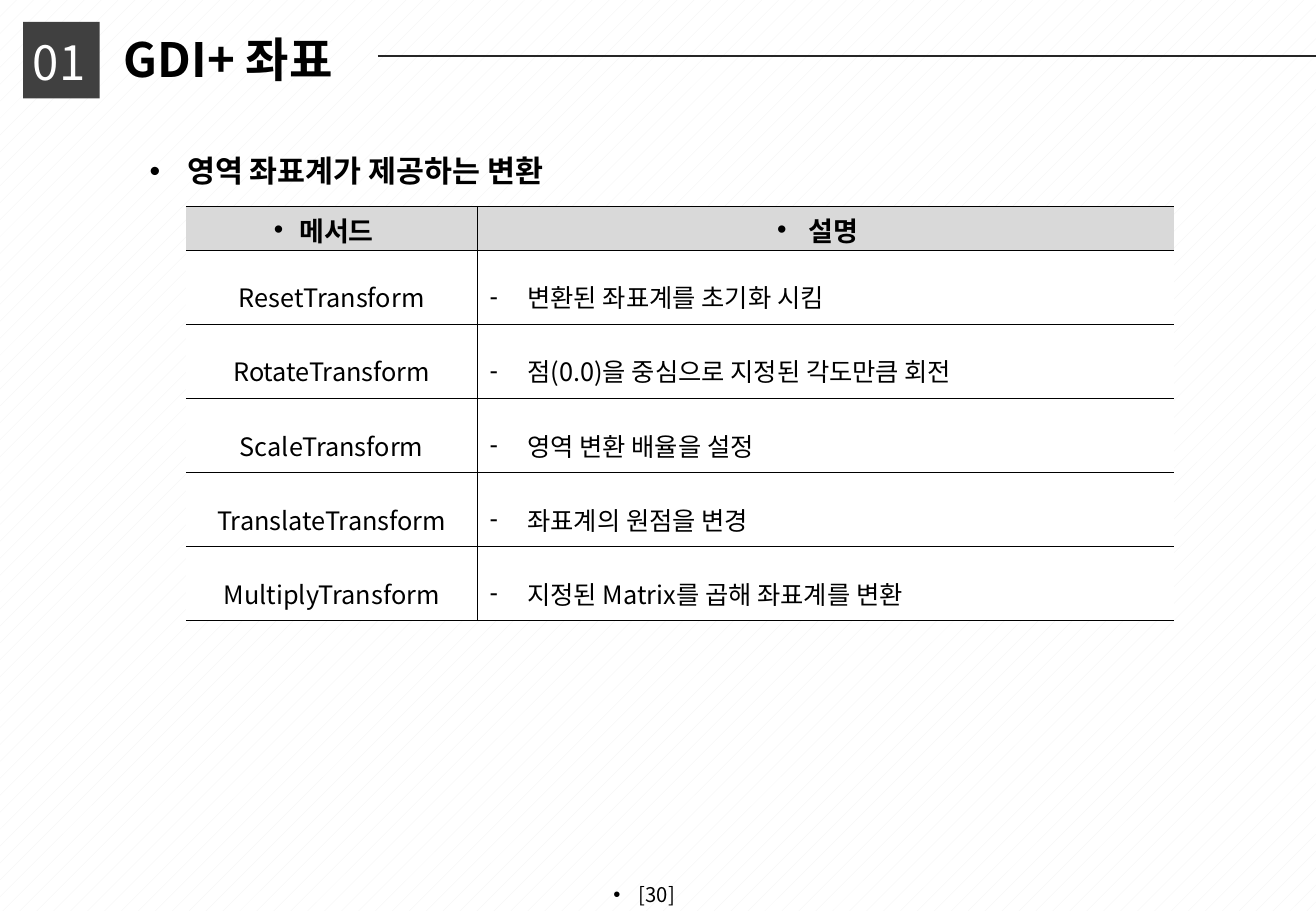
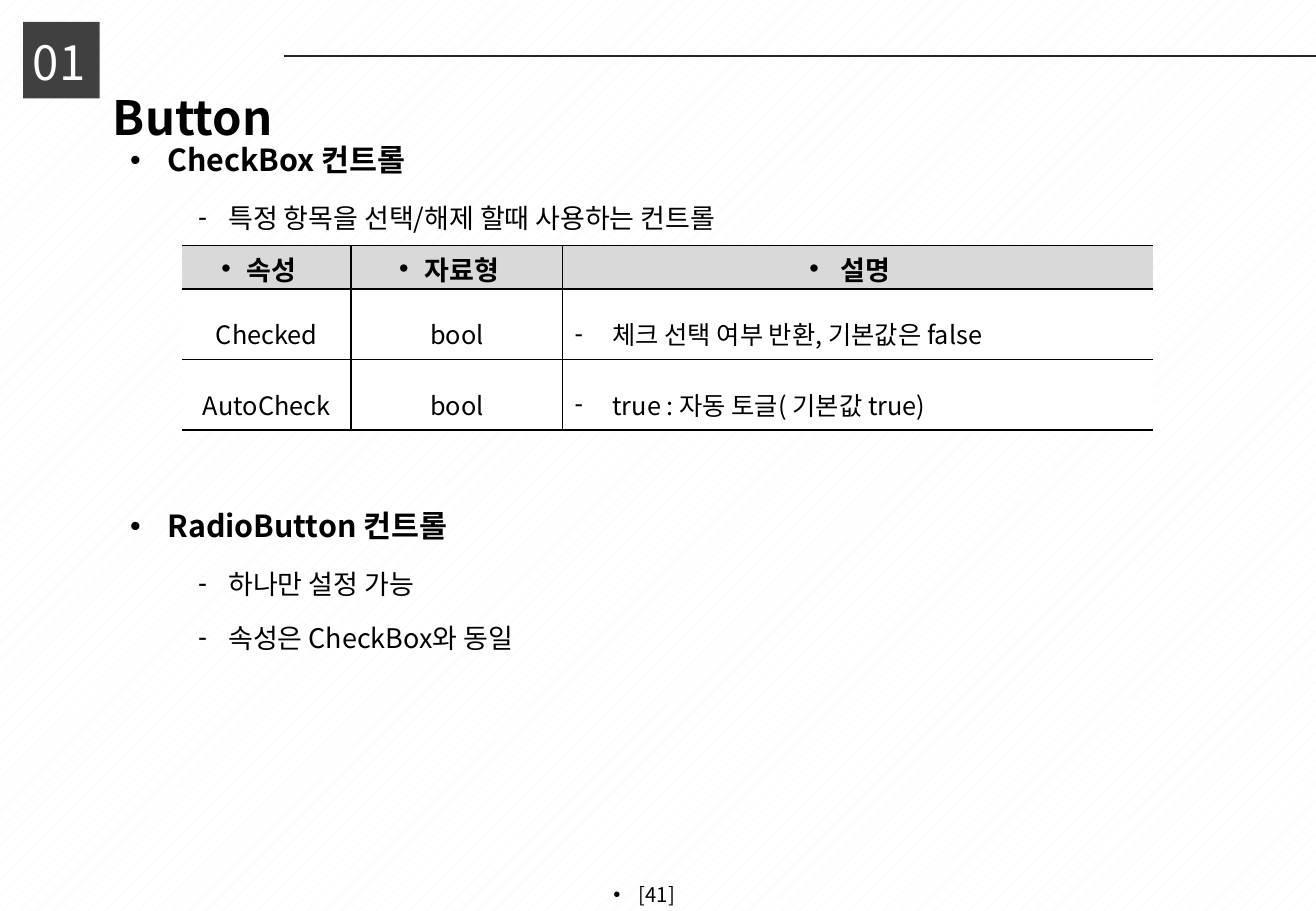
import pptx
import pptx.util
import pptx.dml.color
import pptx.enum.dml
import pptx.enum.shapes
import pptx.enum.text
import pptx.oxml.ns
import lxml.etree

Inches, Pt = pptx.util.Inches, pptx.util.Pt
ALIGN = pptx.enum.text.PP_ALIGN
ANCHOR = pptx.enum.text.MSO_ANCHOR
qn = pptx.oxml.ns.qn


class Theme:
    font = "Noto Sans CJK KR"
    ink, paper = "000000", "FFFFFF"
    dots, head, block, rule = "F2F2F2", "D9D9D9", "404040", "262626"
    # Text styles: size, weight, colour, exact line height
    title = dict(size=28, bold=True, color=ink, line=34)
    number = dict(size=28, bold=False, color=paper, line=34)
    topic = dict(size=18, bold=True, color=ink, line=24)
    point = dict(size=16, bold=False, color=ink, line=32)
    label = dict(size=16, bold=True, color=ink, line=18)
    entry = dict(size=15, bold=False, color=ink, line=26.5)
    foot = dict(size=12, bold=False, color=ink, line=17)


# Bullets: character, left margin, hanging indent, right margin
TOPIC = ("•", 0.75, 0.31, 0)
POINT = ("-", 1.25, 0.25, 0)
ENTRY = ("-", 0.31, 0.31, 0)
MIDDLE = ("•", 0.21, 0.21, 0.13)


def rgb(code):
    return pptx.dml.color.RGBColor.from_string(code)


def put(item, **values):
    for name, value in values.items():
        setattr(item, name, value)


def sub(parent, tag, **values):
    return lxml.etree.SubElement(parent, qn(tag), **values)


def paint(item, code):
    item.fill.solid()
    item.fill.fore_color.rgb = rgb(code)


def write(para, text, style, align=ALIGN.LEFT, bullet=None, before=0, after=0):
    put(para, alignment=align, line_spacing=Pt(style["line"]),
        space_before=Pt(before), space_after=Pt(after))
    props = para._p.get_or_add_pPr()
    char, left, hang, right = bullet or ("", 0, 0, 0)
    for name, value in dict(marL=left, indent=-hang, marR=right).items():
        props.set(name, str(int(Inches(value))))
    if char:
        sub(props, "a:buFont", typeface="Arial")
        sub(props, "a:buChar", char=char)
    else:
        sub(props, "a:buNone")
    run = para.add_run()
    run.text = text
    put(run.font, size=Pt(style["size"]), bold=style["bold"], name=Theme.font)
    run.font.color.rgb = rgb(style["color"])
    sub(run._r.get_or_add_rPr(), "a:ea", typeface=Theme.font)


def place(shape, left, top, width, height):
    put(shape, left=Inches(left), top=Inches(top),
        width=Inches(width), height=Inches(height))
    put(shape.text_frame, word_wrap=True, vertical_anchor=ANCHOR.TOP,
        auto_size=pptx.enum.text.MSO_AUTO_SIZE.NONE,
        margin_left=Inches(0.1), margin_right=Inches(0.1),
        margin_top=Inches(0.05), margin_bottom=Inches(0.05))
    return shape.text_frame


def label(slide, box, text, style, **form):
    frame = place(slide.shapes.add_textbox(0, 0, 0, 0), *box)
    frame.margin_left = 0
    write(frame.paragraphs[0], text, style, **form)


def header(slide, title, box, start, page):
    # Number block
    square = slide.shapes.add_shape(
        pptx.enum.shapes.MSO_SHAPE.RECTANGLE,
        Inches(0.19), Inches(0.18), Inches(0.63), Inches(0.63))
    square.shadow.inherit = False
    paint(square, Theme.block)
    square.line.fill.background()
    label(slide, (0.15, 0.22, 0.65, 0.57), "01", Theme.number,
          align=ALIGN.RIGHT)
    # Title and rule
    frame = place(slide.shapes.title, *box)
    write(frame.paragraphs[0], title, Theme.title)
    line = slide.shapes.add_connector(
        pptx.enum.shapes.MSO_CONNECTOR.STRAIGHT,
        Inches(start), Inches(0.46), Inches(10.83), Inches(0.46))
    line.line.color.rgb = rgb(Theme.rule)
    line.line.width = Pt(1.5)
    sub(line._element.spPr, "a:effectLst")
    # Page number
    label(slide, (4.15, 7.18, 2.53, 0.32), f"[{page}]", Theme.foot,
          align=ALIGN.CENTER, bullet=MIDDLE)


def outline(slide, left, top, groups):
    frame = place(slide.placeholders[1], left, top, 9.61, 5.79)
    para = frame.paragraphs[0]
    for gap, topic, points in groups:
        if gap:
            para = frame.add_paragraph()
        para.level = 1
        write(para, topic, Theme.topic, bullet=TOPIC, before=gap, after=1)
        for text in points:
            para = frame.add_paragraph()
            para.level = 2
            write(para, text, Theme.point, bullet=POINT)


def border(cell, first, last):
    props = cell._tc.get_or_add_tcPr()
    sides = dict(lnL=not first, lnR=not last, lnT=True, lnB=True)
    for spot, (side, drawn) in enumerate(sides.items()):
        edge = lxml.etree.Element(qn("a:" + side), w=str(int(Pt(1))))
        if drawn:
            sub(sub(edge, "a:solidFill"), "a:srgbClr", val=Theme.ink)
        else:
            sub(edge, "a:noFill")
        props.insert(spot, edge)


def grid(slide, left, top, widths, step, rows):
    heights = [0.36] + [step] * (len(rows) - 1)
    table = slide.shapes.add_table(
        len(rows), len(widths), Inches(left), Inches(top),
        Inches(sum(widths)), Inches(sum(heights))).table
    put(table, first_row=False, horz_banding=False)
    for col, width in zip(table.columns, widths):
        col.width = Inches(width)
    end = len(widths) - 1
    for r, (texts, height) in enumerate(zip(rows, heights)):
        table.rows[r].height = Inches(height)
        for c, text in enumerate(texts):
            cell = table.cell(r, c)
            put(cell, vertical_anchor=ANCHOR.MIDDLE,
                margin_left=Inches(0.1), margin_right=Inches(0.1),
                margin_top=Inches(0.1), margin_bottom=Inches(0.01))
            paint(cell, Theme.paper if r else Theme.head)
            border(cell, c == 0, c == end)
            note = r > 0 and c == end
            write(cell.text_frame.paragraphs[0], text,
                  Theme.entry if r else Theme.label,
                  align=ALIGN.LEFT if note else ALIGN.CENTER,
                  bullet=ENTRY if note else None if r else MIDDLE)


def coords(slide):
    header(slide, "GDI+ 좌표", (0.92, 0.19, 2.19, 0.57), 3.11, 30)
    outline(slide, 0.69, 1.17, [(0, "영역 좌표계가 제공하는 변환", [])])
    grid(slide, 1.53, 1.7, [2.4, 5.73], 0.61, [
        ("메서드", " 설명"),
        ("ResetTransform", "변환된 좌표계를 초기화 시킴"),
        ("RotateTransform", "점(0.0)을 중심으로 지정된 각도만큼 회전"),
        ("ScaleTransform", "영역 변환 배율을 설정"),
        ("TranslateTransform", "좌표계의 원점을 변경"),
        ("MultiplyTransform", "지정된 Matrix를 곱해 좌표계를 변환")])


def button(slide):
    header(slide, "Button", (0.83, 0.67, 1.8, 0.57), 2.34, 41)
    outline(slide, 0.53, 1.08, [
        (0, "CheckBox 컨트롤", ["특정 항목을 선택/해제 할때 사용하는 컨트롤"]),
        (160, "RadioButton 컨트롤",
         ["하나만 설정 가능", "속성은 CheckBox와 동일"])])
    grid(slide, 1.5, 2.02, [1.39, 1.74, 4.86], 0.58, [
        ("속성", "자료형", " 설명"),
        ("Checked", "bool", "체크 선택 여부 반환, 기본값은 false"),
        ("AutoCheck", "bool", "true : 자동 토글( 기본값 true)")])


def main():
    deck = pptx.Presentation()
    put(deck, slide_width=Inches(10.83), slide_height=Inches(7.5))
    # Shared background
    fill = deck.slide_master.background.fill
    fill.patterned()
    fill.pattern = pptx.enum.dml.MSO_PATTERN.PERCENT_5
    fill.fore_color.rgb = rgb(Theme.dots)
    fill.back_color.rgb = rgb(Theme.paper)
    # Slides
    for build in (coords, button):
        build(deck.slides.add_slide(deck.slide_layouts[1]))
    deck.save("out.pptx")


if __name__ == "__main__":
    main()
